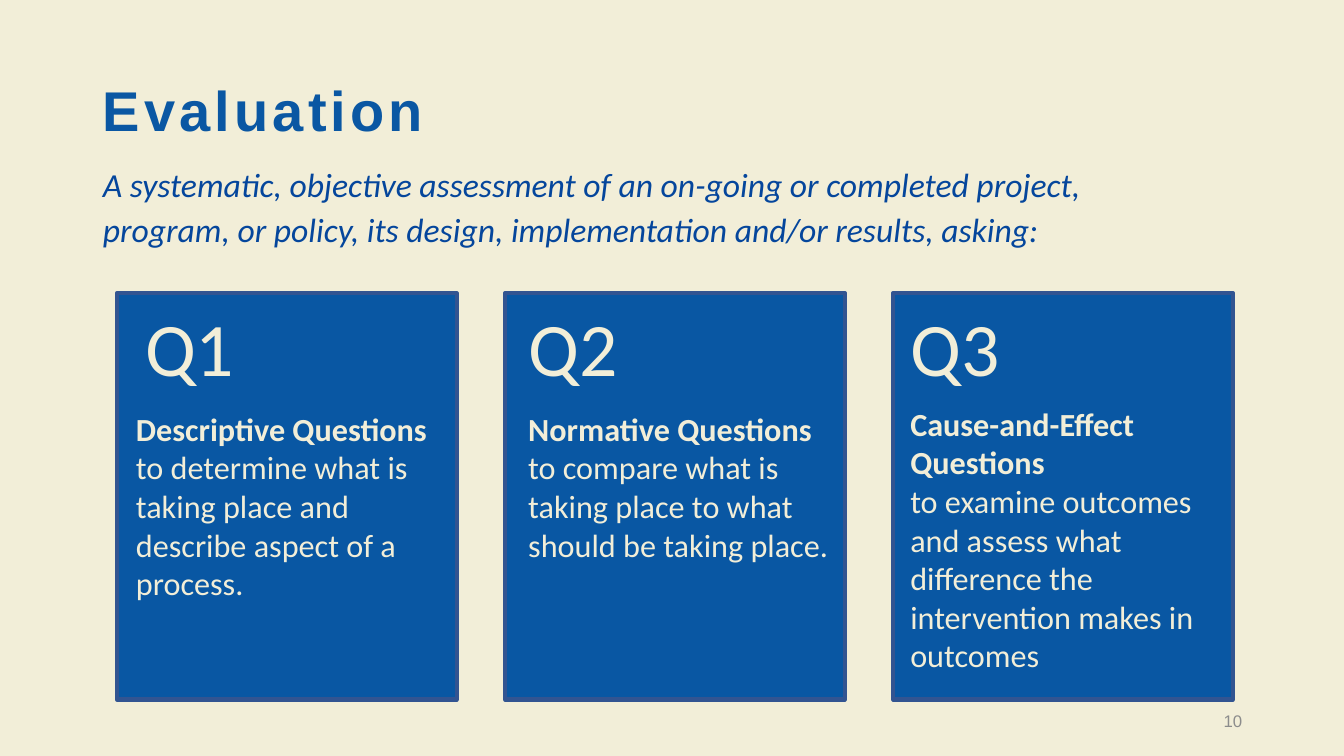
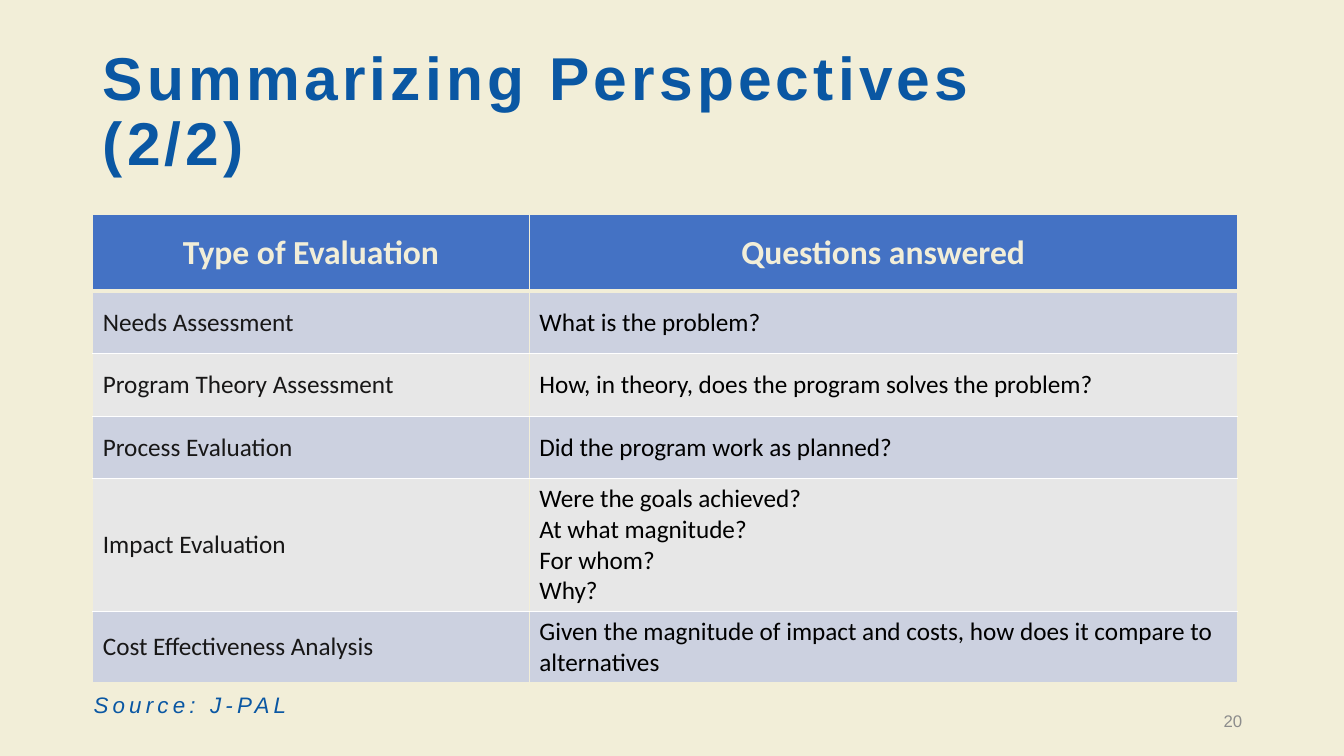
import lxml.etree
import pptx
import pptx.dml.color
import pptx.enum.shapes
import pptx.enum.text
import pptx.oxml.ns
import pptx.util

Inches = pptx.util.Inches
Pt = pptx.util.Pt
qn = pptx.oxml.ns.qn
ALIGN = pptx.enum.text.PP_ALIGN
MIDDLE = pptx.enum.text.MSO_ANCHOR.MIDDLE

COLORS = {
    "cream": "F2EED8",
    "title": "0A57A3",
    "definition": "05469C",
    "card": "0957A3",
    "card line": "325491",
    "header": "4472C4",
    "band odd": "CCD1E0",
    "band even": "E7E7E7",
    "type": "181717",
    "question": "000000",
    "number": "8C8C8C",
}
COLORS = {name: pptx.dml.color.RGBColor.from_string(value) for name, value in COLORS.items()}


def add_run(paragraph, text, size, color, font="Calibri", bold=False, italic=False, spacing=0):
    run = paragraph.add_run()
    run.text = text
    run.font.name = font
    run.font.size = Pt(size)
    run.font.bold = bold
    run.font.italic = italic
    run.font.color.rgb = COLORS[color]
    if spacing:
        run._r.get_or_add_rPr().set("spc", str(spacing * 100))


def add_box(slide, left, top, width, height):
    box = slide.shapes.add_textbox(Inches(left), Inches(top), Inches(width), Inches(height))
    box.text_frame.word_wrap = True
    return box.text_frame


presentation = pptx.Presentation()
presentation.slide_width = Inches(13.33)
presentation.slide_height = Inches(7.5)
background = presentation.slide_master.background.fill
background.solid()
background.fore_color.rgb = COLORS["cream"]

# Titles and slide numbers
slides = []
for layout, text, size, width, number in [
    (1, "Evaluation", 40, 10.19, "10"),
    (5, "Summarizing Perspectives (2/2)", 43.2, 10.15, "20"),
]:
    slide = presentation.slides.add_slide(presentation.slide_layouts[layout])
    slides.append(slide)
    title = slide.shapes.title
    title.left, title.top = Inches(0.92), Inches(0.4)
    title.width, title.height = Inches(width), Inches(1.45)
    title.text_frame.auto_size = pptx.enum.text.MSO_AUTO_SIZE.NONE
    title.text_frame.vertical_anchor = MIDDLE
    paragraph = title.text_frame.paragraphs[0]
    paragraph.alignment = ALIGN.LEFT
    paragraph.line_spacing = 0.9
    add_run(paragraph, text, size, "title", "Arial", bold=True, spacing=3)

    frame = add_box(slide, 9.42, 6.95, 3, 0.4)
    frame.vertical_anchor = MIDDLE
    frame.paragraphs[0].alignment = ALIGN.RIGHT
    add_run(frame.paragraphs[0], number, 12, "number", "Arial")

evaluation, summary = slides

# Evaluation: definition
body = evaluation.placeholders[1]
body.left, body.top = Inches(0.92), Inches(1.54)
body.width, body.height = Inches(10.19), Inches(1)
body.text_frame.auto_size = pptx.enum.text.MSO_AUTO_SIZE.NONE
paragraph = body.text_frame.paragraphs[0]
properties = paragraph._p.get_or_add_pPr()
properties.set("marL", "0")
properties.set("indent", "0")
lxml.etree.SubElement(properties, qn("a:buNone"))
paragraph.line_spacing = 1.1
paragraph.space_before = Pt(0)
add_run(
    paragraph,
    "A systematic, objective assessment of an on-going or completed project, program, "
    "or policy, its design, implementation and/or results, asking:",
    24, "definition", italic=True,
)

# Evaluation: question cards; each inner list is one paragraph of (text, bold) runs
cards = [
    ("Q1", 1.34, 1.25, 4.01, 3.1, 2.04, [[
        ("Descriptive Questions ", True),
        ("to determine what is taking place and describe aspect of a process.", False),
    ]]),
    ("Q2", 5.14, 5.14, 4.01, 3.25, 1.65, [[
        ("Normative Questions ", True),
        ("to compare what is taking place to what should be taking place.", False),
    ]]),
    ("Q3", 8.93, 8.93, 3.96, 3.37, 2.81, [
        [("Cause-and-Effect Questions", True)],
        [("to examine outcomes and assess what difference the intervention makes in outcomes", False)],
    ]),
]
for index, (label, label_left, left, top, width, height, paragraphs) in enumerate(cards):
    card = evaluation.shapes.add_shape(
        pptx.enum.shapes.MSO_SHAPE.RECTANGLE,
        Inches(1.16 + 3.85 * index), Inches(2.91), Inches(3.37), Inches(4.03),
    )
    card.shadow.inherit = False
    card.fill.solid()
    card.fill.fore_color.rgb = COLORS["card"]
    card.line.color.rgb = COLORS["card line"]
    card.line.width = Pt(3)

    frame = add_box(evaluation, label_left, 2.94, 1.39, 1.01)
    add_run(frame.paragraphs[0], label, 54, "cream")

    frame = add_box(evaluation, left, top, width, height)
    for position, runs in enumerate(paragraphs):
        paragraph = frame.add_paragraph() if position else frame.paragraphs[0]
        for text, bold in runs:
            add_run(paragraph, text, 23, "cream", bold=bold)

# Summary: source line
frame = add_box(summary, 0.83, 6.28, 11, 1.45)
frame.vertical_anchor = MIDDLE
frame.paragraphs[0].line_spacing = 0.9
add_run(frame.paragraphs[0], "Source: J-PAL", 16, "title", "Arial", italic=True, spacing=3)

# Summary: table
rows = [
    (0.76, "Type of Evaluation", ["Questions answered"]),
    (0.62, "Needs Assessment", ["What is the problem?"]),
    (0.62, "Program Theory Assessment", ["How, in theory, does the program solves the problem?"]),
    (0.62, "Process Evaluation", ["Did the program work as planned?"]),
    (1.32, "Impact Evaluation", ["Were the goals achieved?", "At what magnitude?", "For whom?", "Why?"]),
    (0.7, "Cost Effectiveness Analysis",
     ["Given the magnitude of impact and costs, how does it compare to alternatives"]),
]
table = summary.shapes.add_table(
    len(rows), 2, Inches(0.92), Inches(2.13), Inches(11.35), Inches(4.64)
).table
table.horz_banding = False
table.columns[0].width = Inches(4.33)
table.columns[1].width = Inches(7.02)

for row_index, (height, kind, questions) in enumerate(rows):
    table.rows[row_index].height = Inches(height)
    header = row_index == 0
    fill = "header" if header else "band odd" if row_index % 2 else "band even"
    for column_index, lines in enumerate([[kind], questions]):
        cell = table.cell(row_index, column_index)
        cell.vertical_anchor = MIDDLE
        cell_properties = cell._tc.get_or_add_tcPr()
        for side in ("L", "R", "T", "B") if header else ("L", "R", "B"):
            points = 3 if header and side == "B" else 1
            border = lxml.etree.SubElement(cell_properties, qn("a:ln" + side), w=str(Pt(points)))
            solid = lxml.etree.SubElement(border, qn("a:solidFill"))
            lxml.etree.SubElement(solid, qn("a:srgbClr"), val=str(COLORS["cream"]))
        cell.fill.solid()
        cell.fill.fore_color.rgb = COLORS[fill]
        for position, text in enumerate(lines):
            paragraph = cell.text_frame.add_paragraph() if position else cell.text_frame.paragraphs[0]
            if header:
                paragraph.alignment = ALIGN.CENTER
                add_run(paragraph, text, 24, "cream", bold=True)
            else:
                add_run(paragraph, text, 18, "question" if column_index else "type")

presentation.save("out.pptx")
